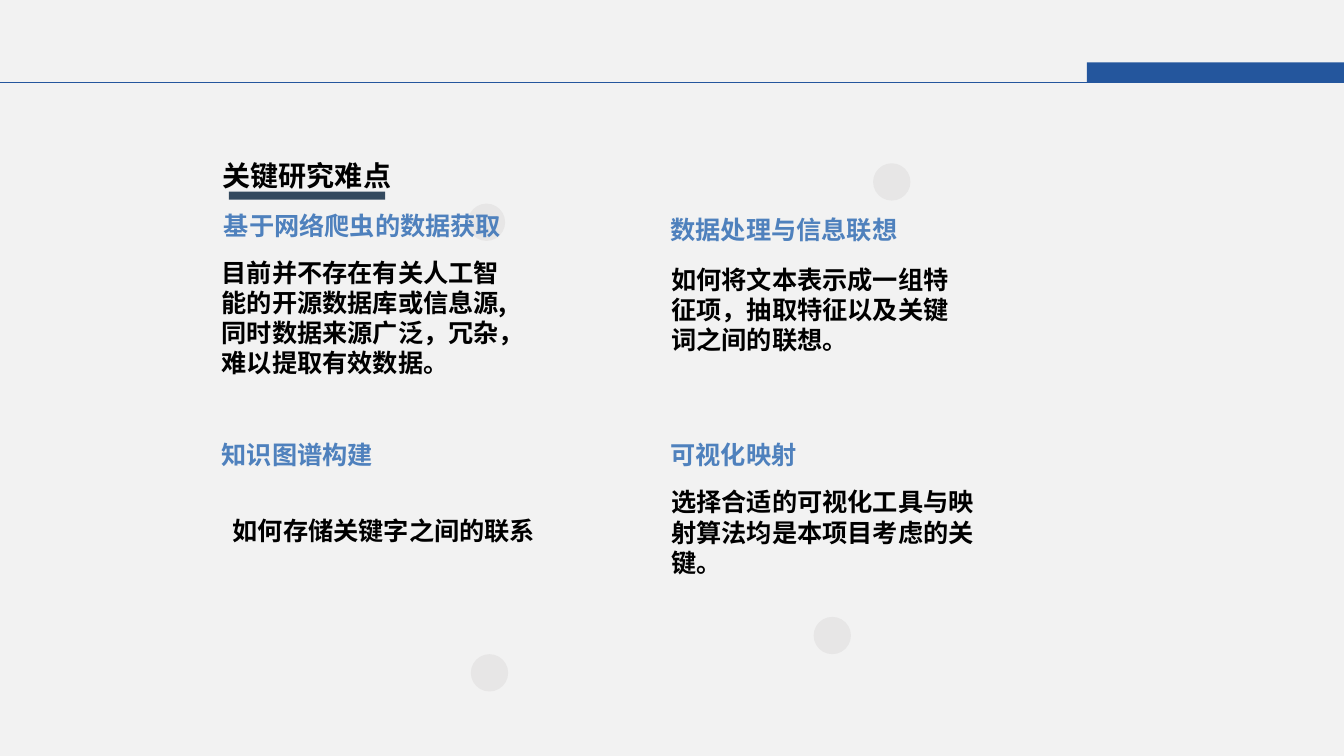
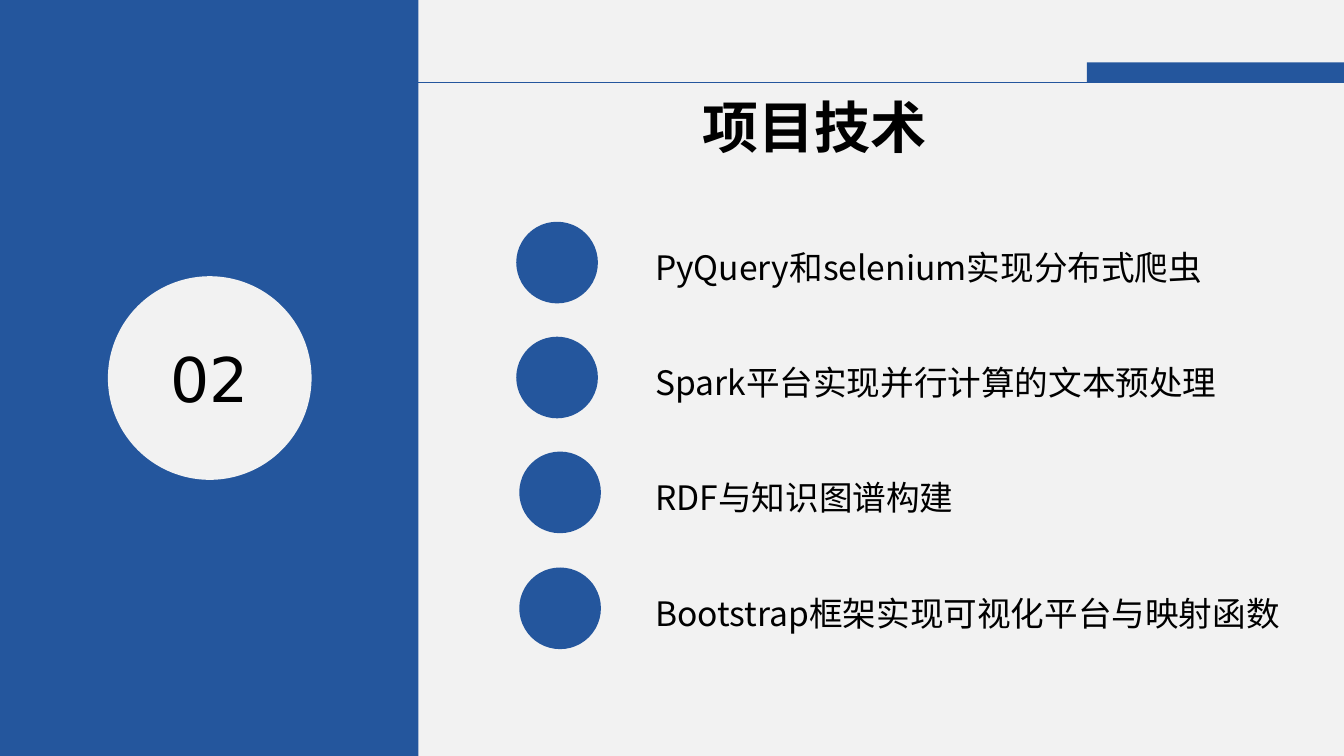
from pptx import Presentation
from pptx.dml.color import RGBColor
from pptx.enum.shapes import MSO_CONNECTOR, MSO_SHAPE
from pptx.enum.text import MSO_ANCHOR, PP_ALIGN
from pptx.oxml.ns import qn
from pptx.util import Pt
from lxml.etree import SubElement

PX = 9144  # 100 px to the inch
WIDE, HIGH = 1333, 750
BLUE, PALE, SKY = "24569D", "F2F2F2", "4F81BD"
GREY, SLATE, BLACK = "E7E6E6", "34495E", "000000"
NOTO, SANS, ARIAL = "Noto Sans CJK SC", "DejaVu Sans", "Arial"
PAD, SLIM, FLUSH = (10, 5, 10, 5), (7, 4, 7, 4), (0, 0, 39, 0)
rgb = RGBColor.from_string


def paint(slide, kind, box, color):
    """Add a plain filled shape without outline."""
    shape = slide.shapes.add_shape(kind, *[v * PX for v in box])
    shape.shadow.inherit = False
    shape.fill.solid()
    shape.fill.fore_color.rgb = rgb(color)
    shape.line.fill.background()


def write(slide, box, words, size, color=BLACK, bold=True, font=NOTO, pad=PAD,
          wrap=True, lead=None, anchor=MSO_ANCHOR.TOP, align=PP_ALIGN.LEFT):
    """Add a text box holding one run."""
    frame = slide.shapes.add_textbox(*[v * PX for v in box]).text_frame
    frame.word_wrap = wrap
    frame.vertical_anchor = anchor
    (frame.margin_left, frame.margin_top,
     frame.margin_right, frame.margin_bottom) = [v * PX for v in pad]
    para = frame.paragraphs[0]
    para.alignment = align
    para.line_spacing = lead
    run = para.add_run()
    run.text = words
    run.font.size = Pt(size)
    run.font.bold = bold
    run.font.name = font
    run.font.color.rgb = rgb(color)
    SubElement(run.font._element, qn("a:ea"), typeface=NOTO)


prs = Presentation()
prs.slide_width, prs.slide_height = WIDE * PX, HIGH * PX
back = prs.slide_master.background.fill
back.solid()
back.fore_color.rgb = rgb(PALE)

# Shared header: band and rule
slides = [prs.slides.add_slide(prs.slide_layouts[6]) for _ in range(2)]
for slide in slides:
    paint(slide, MSO_SHAPE.RECTANGLE, (1078, 62, WIDE - 1078, 20), BLUE)
    rule = slide.shapes.add_connector(
        MSO_CONNECTOR.STRAIGHT, 0, 82 * PX, WIDE * PX, 82 * PX)
    rule.line.color.rgb = rgb(BLUE)
    rule.line.width = Pt(0.75)
    SubElement(rule._element.spPr, qn("a:effectLst"))
issues, tools = slides

# Slide 1: research difficulties
for left, top in [(807, 612), (467, 649), (464, 202), (866, 162)]:
    paint(issues, MSO_SHAPE.OVAL, (left, top, 37, 37), GREY)

heads = [
    ((220, 430), "知识图谱构建", 1.25),
    ((665, 210), "数据处理与信息联想", None),
    ((665, 430), "可视化映射", 1.25),
]
for spot, words, lead in heads:
    write(issues, (*spot, 314, 35), words, 18, SKY, pad=FLUSH, lead=lead,
          anchor=MSO_ANCHOR.MIDDLE)
write(issues, (215, 197, 320, 37), "基于网络爬虫的数据获取", 18, SKY,
      pad=SLIM, wrap=False, lead=1.25)

notes = [
    ((210, 250, 312, 173),
     "目前并不存在有关人工智能的开源数据库或信息源,同时数据来源广泛，冗杂，难以提取有效数据。"),
    ((221, 506, 323, 160), "如何存储关键字之间的联系"),
    ((656, 257, 297, 124),
     "如何将文本表示成一组特征项，抽取特征以及关键词之间的联想。"),
    ((656, 478, 323, 134),
     "选择合适的可视化工具与映射算法均是本项目考虑的关键。"),
]
for box, words in notes:
    write(issues, box, words, 18)

write(issues, (195, 145, 200, 44), "关键研究难点", 20, font=ARIAL, pad=SLIM,
      wrap=False, lead=1.25, align=PP_ALIGN.RIGHT)
paint(issues, MSO_SHAPE.RECTANGLE, (227, 190, 155, 8), SLATE)

# Slide 2: project technology
paint(tools, MSO_SHAPE.RECTANGLE, (0, 0, 415, HIGH), BLUE)
paint(tools, MSO_SHAPE.OVAL, (107, 274, 202, 202), PALE)
write(tools, (159, 333, 120, 83), "02", 44, bold=False, font=SANS, wrap=False)
write(tools, (687, 87, 367, 76), "项目技术", 40, font=SANS, wrap=False)

items = [
    (512, "PyQuery和selenium实现分布式爬虫"),
    (512, "Spark平台实现并行计算的文本预处理"),
    (515, "RDF与知识图谱构建"),
    (515, "Bootstrap框架实现可视化平台与映射函数"),
]
for row, (left, words) in enumerate(items):
    top = 220 + row * 343 // 3
    paint(tools, MSO_SHAPE.OVAL, (left, top, 81, 81), BLUE)
    write(tools, (640, top + 10, 649, 50), words, 24, bold=False, lead=1.25)

prs.save("out.pptx")
